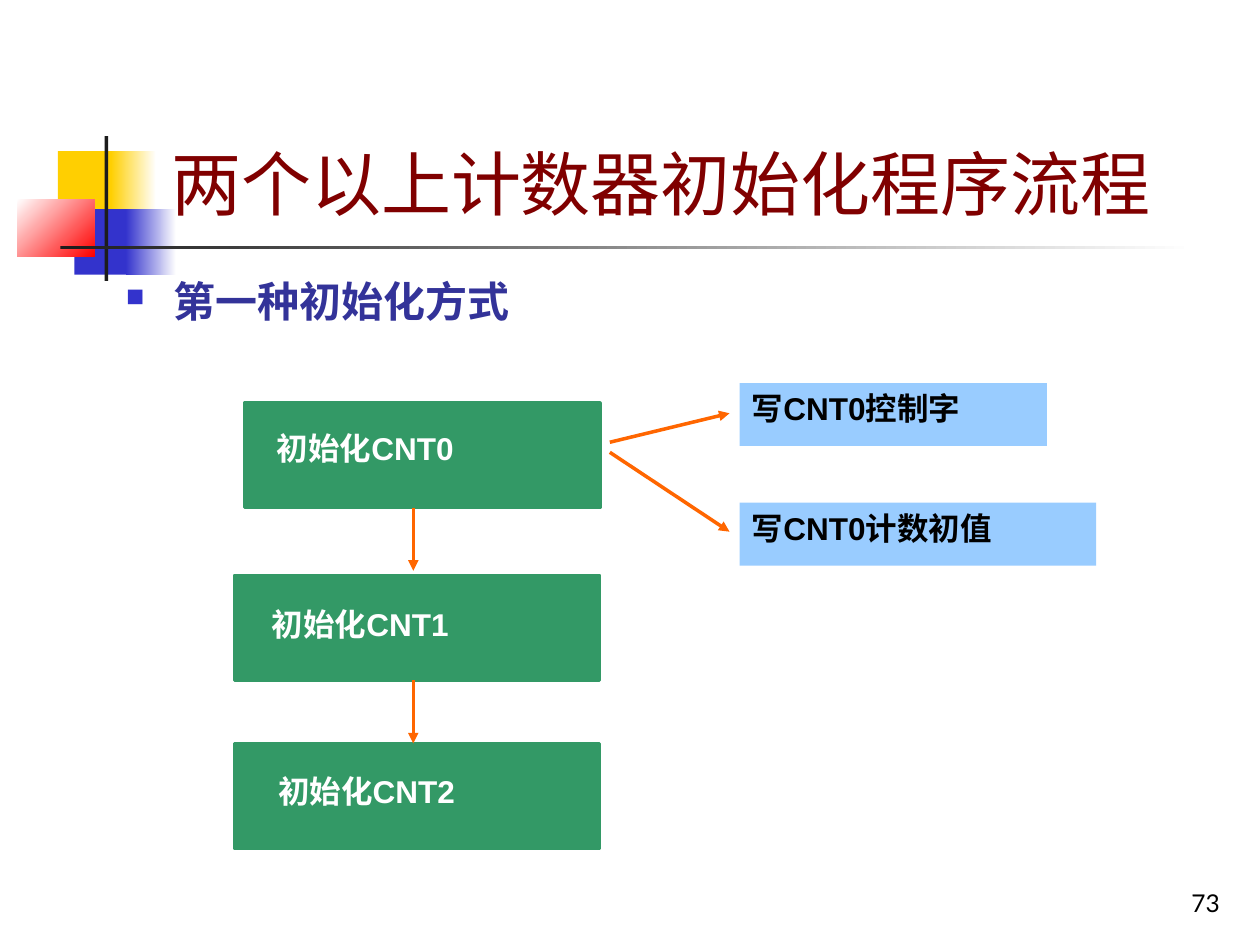
"""Build the slide on the initialisation flow for two or more counters."""
from lxml import etree
from pptx import Presentation
from pptx import util as u
from pptx.dml.color import RGBColor
from pptx.enum import shapes, text
from pptx.oxml import parse_xml
from pptx.oxml.ns import nsdecls, qn

PX = 9144
C = {"yellow": "FFCF01", "blue": "3333CC", "red": "FF0000", "ink": "1C1C1C",
     "white": "FFFFFF", "black": "000000", "title": "800000", "body": "333399",
     "green": "339966", "sky": "99CCFF", "orange": "FF6600"}
RGB = {name: RGBColor.from_string(value) for name, value in C.items()}


def add_rect(box, fill, end=None, angle=0):
    sp = s.shapes.add_shape(shapes.MSO_SHAPE.RECTANGLE, *[v * PX for v in box])
    sp.shadow.inherit = False
    sp.line.fill.background()
    if end:
        sp.fill.gradient()
        sp.fill.gradient_angle = angle
        for stop, color in zip(sp.fill.gradient_stops, (fill, end)):
            stop.color.rgb = RGB[color]
    else:
        sp.fill.solid()
        sp.fill.fore_color.rgb = RGB[fill]
    return sp


def set_text(sp, words, size, font, color, bold=False,
             anchor=text.MSO_ANCHOR.TOP, align=text.PP_ALIGN.LEFT):
    tf = sp.text_frame
    tf.text = words
    tf.word_wrap = True
    tf.vertical_anchor = anchor
    p = tf.paragraphs[0]
    p.alignment = align
    r = p.runs[0]
    r.font.size = u.Pt(size)
    r.font.name = font
    r.font.bold = bold
    r.font.color.rgb = RGB[color]
    return p


prs = Presentation()
prs.slide_width, prs.slide_height = 1000 * PX, 750 * PX
s = prs.slides.add_slide(prs.slide_layouts[5])

for box, *fill in [
    ((46, 120, 48, 52), "yellow"),
    ((88, 120, 36, 52), "yellow", "white"),
    ((59, 166, 46, 52), "blue"),
    ((100, 166, 40, 52), "blue", "white"),
    ((14, 158, 61, 46), "white", "red", 315),
    ((83, 108, 3, 115), "ink"),
    ((48, 195, 900, 3), "ink", "white"),
]:
    add_rect(box, *fill)

number = s.shapes.add_textbox(770 * PX, 683 * PX, 208 * PX, 50 * PX)
set_text(number, "73", 14, "Lato", "black",
         anchor=text.MSO_ANCHOR.BOTTOM, align=text.PP_ALIGN.RIGHT)

title = s.shapes.title
title.left, title.top, title.width, title.height = [v * PX for v in (126, 23, 852, 160)]
set_text(title, "两个以上计数器初始化程序流程", 40, "Lato", "title",
         anchor=text.MSO_ANCHOR.BOTTOM)
s.shapes._spTree.append(title._element)

body = s.shapes.add_textbox(90 * PX, 210 * PX, 882 * PX, 79 * PX)
p = set_text(body, "第一种初始化方式", 24, "Lato", "body", True)
pPr = p._p.get_or_add_pPr()
pPr.set("marL", str(38 * PX))
pPr.set("indent", str(-38 * PX))
for bullet in (f'<a:buClr {nsdecls("a")}><a:srgbClr val="{C["blue"]}"/></a:buClr>',
               f'<a:buSzPct {nsdecls("a")} val="60000"/>',
               f'<a:buChar {nsdecls("a")} char="■"/>'):
    pPr.append(parse_xml(bullet))
p.line_spacing = 1.1
p.space_after = u.Pt(1)

for i, (step, label) in enumerate([
    ((194, 320, 282, 83), (210, 336, 244, 50)),
    ((186, 457, 290, 83), (206, 475, 239, 50)),
    ((186, 590, 290, 83), (211, 608, 235, 50)),
]):
    sp = add_rect(step, "green")
    sp.line.color.rgb = RGB["green"]
    sp.line.width = u.Pt(2)
    tb = s.shapes.add_textbox(*[v * PX for v in label])
    set_text(tb, f"初始化CNT{i}", 18, "Arial", "white", True)

for box, words in [((587, 304, 244, 50), "写CNT0控制字"),
                   ((587, 399, 283, 50), "写CNT0计数初值")]:
    set_text(add_rect(box, "sky"), words, 18, "Arial", "black", True)

for ends in [(328, 403, 328, 453), (328, 540, 328, 590),
             (484, 351, 579, 328), (484, 359, 579, 422)]:
    arrow = s.shapes.add_connector(shapes.MSO_CONNECTOR.STRAIGHT, *[v * PX for v in ends])
    arrow.line.color.rgb = RGB["orange"]
    arrow.line.width = u.Pt(2)
    etree.SubElement(arrow.line._get_or_add_ln(), qn("a:tailEnd"), type="triangle")
    etree.SubElement(arrow._element.spPr, qn("a:effectLst"))

prs.save("out.pptx")
